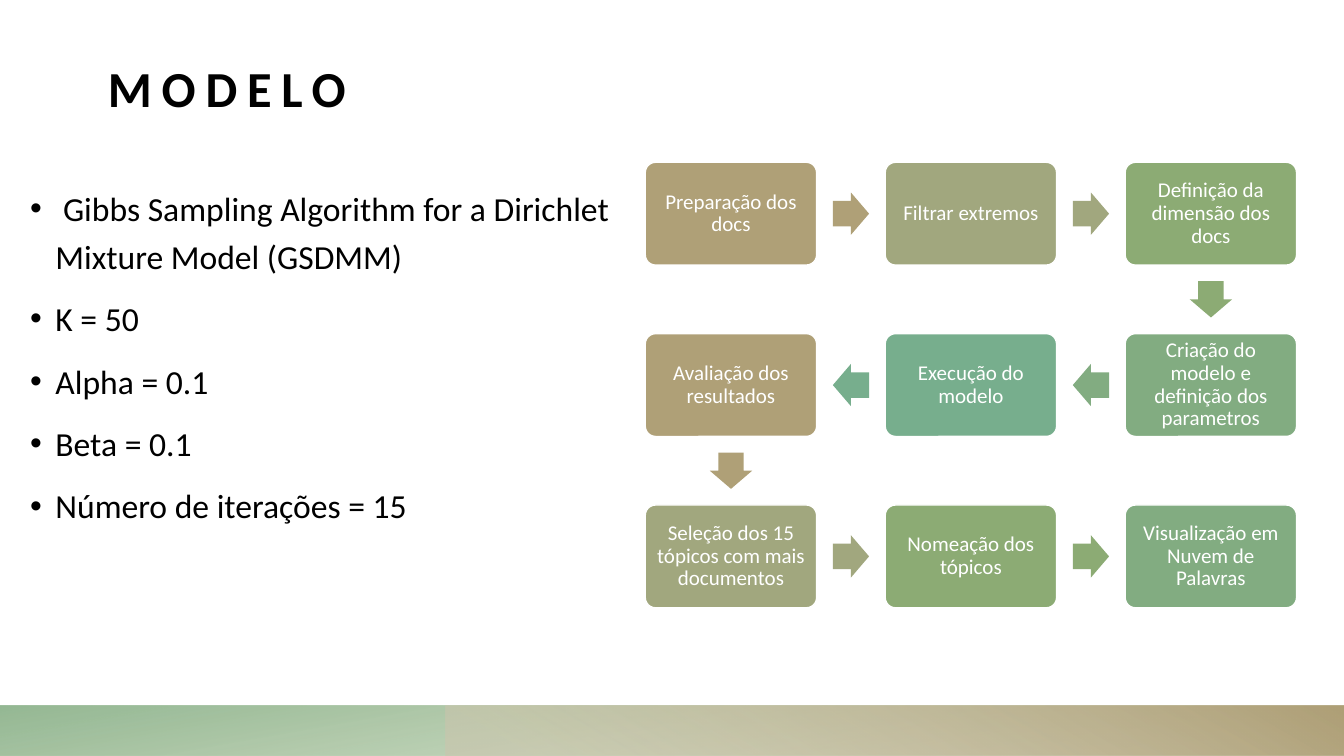
import math
from dataclasses import dataclass

from lxml import etree
from pptx import Presentation
from pptx.dml.color import RGBColor
from pptx.enum import shapes, text
from pptx.oxml import ns
from pptx.util import Inches, Pt


@dataclass(frozen=True)
class Theme:
    font: str = "Calibri"
    ink: str = "000000"
    paper: str = "FFFFFF"
    sand: str = "CFC6AD"
    steps: tuple = ("AFA077", "A1A77E", "8CAB74", "82AC81", "77AE8D")
    title_size: int = 36
    body_size: int = 24
    step_size: int = 15


def apply(target, values):
    for name, value in values.items():
        setattr(target, name, value)


class SlideBuilder:
    def __init__(self, prs, theme):
        self.theme = theme
        self.s = prs.slides.add_slide(prs.slide_layouts[5])

    def frame(self, tf, inset, anchor):
        margins = ("margin_left", "margin_top", "margin_right", "margin_bottom")
        apply(tf, dict.fromkeys(margins, Inches(inset)))
        apply(tf, {"word_wrap": True, "auto_size": text.MSO_AUTO_SIZE.NONE,
                   "vertical_anchor": anchor})

    def run(self, p, words, size, color, **font):
        r = p.add_run()
        r.text = words
        apply(r.font, {"name": self.theme.font, "size": Pt(size), **font})
        r.font.color.rgb = RGBColor.from_string(color)
        return r

    def shape(self, kind, left, top, width, height, color=None):
        sp = self.s.shapes.add_shape(
            kind, Inches(left), Inches(top), Inches(width), Inches(height))
        sp.shadow.inherit = False
        sp.line.fill.background()
        if color:
            sp.fill.solid()
            sp.fill.fore_color.rgb = RGBColor.from_string(color)
        return sp

    def title(self, words, left, top, width, height):
        sp = self.s.shapes.title
        apply(sp, {"left": Inches(left), "top": Inches(top),
                   "width": Inches(width), "height": Inches(height)})
        self.frame(sp.text_frame, 0, text.MSO_ANCHOR.BOTTOM)
        p = sp.text_frame.paragraphs[0]
        p.alignment = text.PP_ALIGN.LEFT
        r = self.run(p, words, self.theme.title_size, self.theme.ink, bold=True)
        r.font._element.set("spc", "700")

    def bullets(self, items, left, top, width, height):
        sp = self.s.shapes.add_textbox(
            Inches(left), Inches(top), Inches(width), Inches(height))
        tf = sp.text_frame
        self.frame(tf, 0, text.MSO_ANCHOR.TOP)
        for i, item in enumerate(items):
            p = tf.add_paragraph() if i else tf.paragraphs[0]
            apply(p, {"line_spacing": 1.2, "space_before": Pt(10)})
            pPr = p._p.get_or_add_pPr()
            pPr.set("marL", str(Inches(0.25)))
            pPr.set("indent", str(Inches(-0.25)))
            etree.SubElement(pPr, ns.qn("a:buFont")).set("typeface", "Arial")
            etree.SubElement(pPr, ns.qn("a:buChar")).set("char", "•")
            self.run(p, item, self.theme.body_size, self.theme.ink)

    def band(self, left, width, stops, angle, rotation=0):
        """Footer band; stops are (position, colour, opacity) in percent."""
        sp = self.shape(shapes.MSO_SHAPE.RECTANGLE, left, 7, width, 0.5)
        sp.rotation = rotation
        spPr = sp._element.spPr
        spPr.find(ns.qn("a:xfrm")).set("flipH", "1")
        grad = etree.Element(ns.qn("a:gradFill"), rotWithShape="1")
        stop_list = etree.SubElement(grad, ns.qn("a:gsLst"))
        for position, color, opacity in stops:
            gs = etree.SubElement(stop_list, ns.qn("a:gs"), pos=str(position * 1000))
            clr = etree.SubElement(gs, ns.qn("a:srgbClr"), val=color)
            etree.SubElement(clr, ns.qn("a:alpha"), val=str(opacity * 1000))
        etree.SubElement(grad, ns.qn("a:lin"), ang=str(angle * 60000), scaled="0")
        spPr.find(ns.qn("a:prstGeom")).addnext(grad)

    def step(self, words, left, top, width, height, color):
        sp = self.shape(shapes.MSO_SHAPE.ROUNDED_RECTANGLE,
                        left, top, width, height, color)
        sp.adjustments[0] = 0.1
        sp.line.color.rgb = RGBColor.from_string(self.theme.paper)
        sp.line.width = Pt(1)
        self.frame(sp.text_frame, 0.06, text.MSO_ANCHOR.MIDDLE)
        p = sp.text_frame.paragraphs[0]
        apply(p, {"alignment": text.PP_ALIGN.CENTER, "line_spacing": 0.9})
        self.run(p, words, self.theme.step_size, self.theme.paper)

    def arrow(self, start, end, color):
        """Block arrow halfway between two step centres."""
        (x1, y1), (x2, y2) = start, end
        width, height = 0.36, 0.42
        sp = self.shape(shapes.MSO_SHAPE.RIGHT_ARROW, (x1 + x2 - width) / 2,
                        (y1 + y2 - height) / 2, width, height, color)
        sp.adjustments[0], sp.adjustments[1] = 0.6, 0.5
        sp.rotation = math.degrees(math.atan2(y2 - y1, x2 - x1))

    def snake(self, steps, left, top, pitch_x, pitch_y, width, height, columns=3):
        """Steps run left to right, then right to left, row by row."""
        previous = None
        for i, words in enumerate(steps):
            row, col = divmod(i, columns)
            if row % 2:
                col = columns - 1 - col
            x, y = left + col * pitch_x, top + row * pitch_y
            center = (x + width / 2, y + height / 2)
            if previous:
                self.arrow(previous, center, color)
            color = self.theme.steps[i % len(self.theme.steps)]
            self.step(words, x, y, width, height, color)
            previous = center


def main():
    prs = Presentation()
    prs.slide_width, prs.slide_height = Inches(13.33), Inches(7.5)
    theme = Theme()
    slide = SlideBuilder(prs, theme)

    # Footer bands
    slide.band(0, 13.33, [(14, theme.steps[2], 28), (100, theme.steps[3], 85)],
               angle=100, rotation=180)
    slide.band(4.42, 8.91, [(9, theme.sand, 55), (99, theme.steps[0], 100)],
               angle=240)

    # Title and model parameters
    slide.title("MODELO", 1.07, 0.42, 11.2, 0.75)
    slide.bullets([
        " Gibbs Sampling Algorithm for a Dirichlet Mixture Model (GSDMM)",
        "K = 50",
        "Alpha = 0.1",
        "Beta = 0.1",
        "Número de iterações = 15",
    ], 0.3, 1.78, 5.8, 4.33)

    # Process flow
    slide.snake([
        "Preparação dos docs",
        "Filtrar extremos",
        "Definição da dimensão dos docs",
        "Criação do modelo e definição dos parametros",
        "Execução do modelo",
        "Avaliação dos resultados",
        "Seleção dos 15 tópicos com mais documentos",
        "Nomeação dos tópicos",
        "Visualização em Nuvem de Palavras",
    ], left=6.4, top=1.61, pitch_x=2.38, pitch_y=1.7, width=1.7, height=1.02)

    prs.save("out.pptx")


if __name__ == "__main__":
    main()
